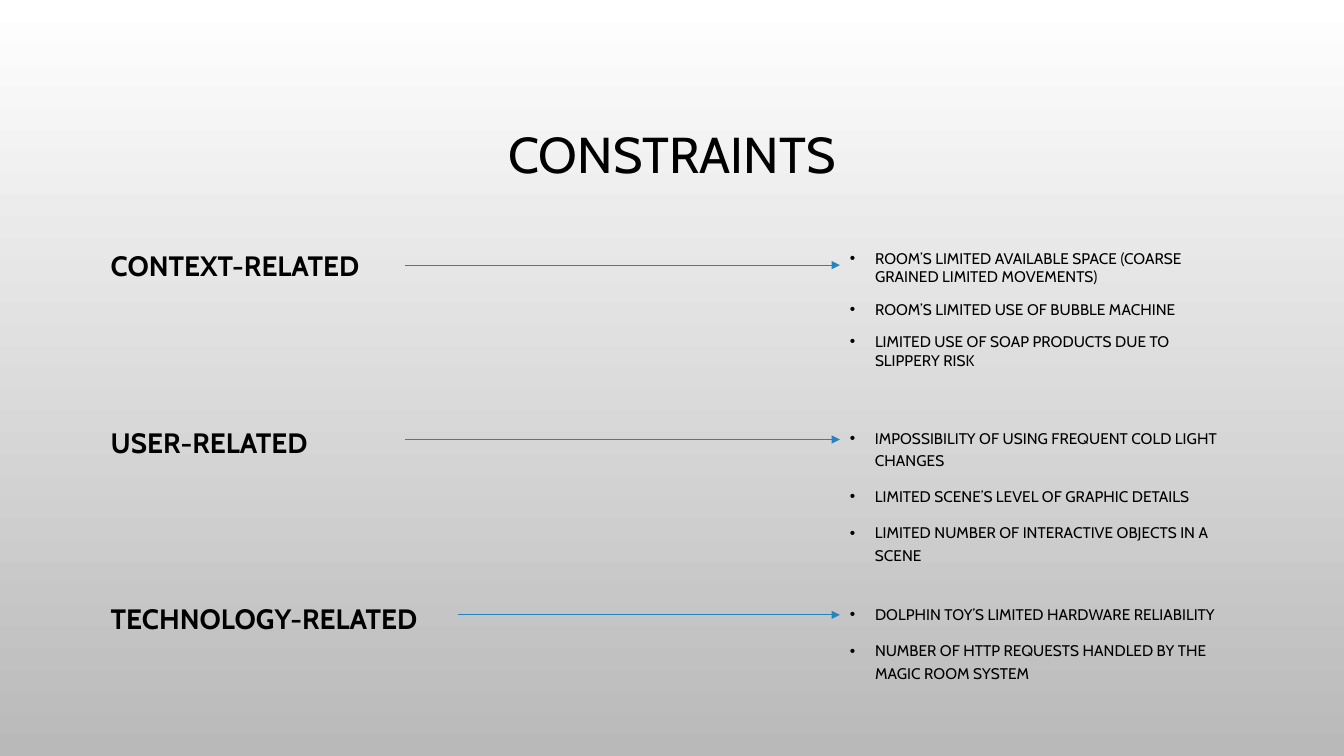
from dataclasses import dataclass
from typing import Any

from lxml import etree
from pptx import Presentation
from pptx import util as u
from pptx.dml.color import RGBColor
from pptx.enum import shapes, text
from pptx.oxml import ns


@dataclass(frozen=True)
class Theme:
    font: str = "Cabin"
    ink: RGBColor = RGBColor(0x00, 0x00, 0x00)
    arrow: RGBColor = RGBColor(0x26, 0x83, 0xBF)
    top: RGBColor = RGBColor(0xFF, 0xFF, 0xFF)
    bottom: RGBColor = RGBColor(0xB9, 0xB9, 0xB9)
    title_size: int = 36
    heading_size: int = 20
    item_size: int = 11
    item_gap: int = 10
    arrow_width: float = 0.75


@dataclass(frozen=True)
class Constraint:
    heading: str
    items: list[str]
    arrow_start: float = 4.02
    arrow_drop: float = 0.19
    list_width: float = 4.01
    line_spacing: float = 1.2


THEME = Theme()
FIRST_TOP, ROW_PITCH, ROW_HEIGHT = 2.42, 1.75, 0.99
HEADING_LEFT, HEADING_WIDTH, LIST_LEFT = 1, 3.67, 8.33

CONSTRAINTS = [
    Constraint("CONTEXT-RELATED", [
        "ROOM’S LIMITED AVAILABLE SPACE (COARSE GRAINED LIMITED MOVEMENTS)",
        "ROOM’S LIMITED USE OF BUBBLE MACHINE",
        "LIMITED USE OF SOAP PRODUCTS DUE TO SLIPPERY RISK",
    ], arrow_drop=0.21, line_spacing=1.0),
    Constraint("USER-RELATED", [
        "IMPOSSIBILITY OF USING FREQUENT COLD LIGHT CHANGES",
        "LIMITED SCENE’S LEVEL OF GRAPHIC DETAILS",
        "LIMITED NUMBER OF INTERACTIVE OBJECTS IN A SCENE",
    ], list_width=4.24),
    Constraint("TECHNOLOGY-RELATED", [
        "DOLPHIN TOY’S LIMITED HARDWARE RELIABILITY",
        "NUMBER OF HTTP REQUESTS HANDLED BY THE MAGIC ROOM SYSTEM",
    ], arrow_start=4.54, arrow_drop=0.18),
]


def apply(target: Any, values: dict[str, Any]) -> None:
    for name, value in values.items():
        setattr(target, name, value)


def add_bullet(paragraph: Any) -> None:
    properties = paragraph._p.get_or_add_pPr()
    properties.set("marL", str(u.Inches(0.25)))
    properties.set("indent", str(u.Inches(-0.25)))
    colour = etree.SubElement(properties, ns.qn("a:buClr"))
    etree.SubElement(colour, ns.qn("a:srgbClr")).set("val", str(THEME.ink))
    etree.SubElement(properties, ns.qn("a:buFont")).set("typeface", "Arial")
    etree.SubElement(properties, ns.qn("a:buChar")).set("char", "•")


def add_text(slide: Any, box: tuple[float, float, float, float], lines: list[str],
             size: int, bold: bool = False, bulleted: bool = False,
             anchor: Any = text.MSO_ANCHOR.TOP, **layout: Any) -> None:
    frame = slide.shapes.add_textbox(*map(u.Inches, box)).text_frame
    apply(frame, {"word_wrap": True, "vertical_anchor": anchor})
    for index, line in enumerate(lines):
        paragraph = frame.add_paragraph() if index else frame.paragraphs[0]
        paragraph.text = line
        if bulleted:
            add_bullet(paragraph)
        apply(paragraph, layout)
        if index:
            paragraph.space_before = u.Pt(THEME.item_gap)
        font = paragraph.runs[0].font
        apply(font, {"name": THEME.font, "size": u.Pt(size), "bold": bold})
        font.color.rgb = THEME.ink


def add_arrow(slide: Any, start: float, end: float, y: float) -> None:
    arrow = slide.shapes.add_connector(
        shapes.MSO_CONNECTOR.STRAIGHT, *map(u.Inches, (start, y, end, y)))
    arrow.line.color.rgb = THEME.arrow
    arrow.line.width = u.Pt(THEME.arrow_width)
    line = arrow.line._get_or_add_ln()
    etree.SubElement(line, ns.qn("a:tailEnd")).set("type", "triangle")
    etree.SubElement(arrow._element.spPr, ns.qn("a:effectLst"))


def add_constraint(slide: Any, row: int, constraint: Constraint) -> None:
    top = FIRST_TOP + row * ROW_PITCH
    add_text(slide, (HEADING_LEFT, top, HEADING_WIDTH, ROW_HEIGHT),
             [constraint.heading], THEME.heading_size, bold=True)
    add_text(slide, (LIST_LEFT, top, constraint.list_width, ROW_HEIGHT),
             constraint.items, THEME.item_size, bulleted=True,
             line_spacing=constraint.line_spacing)
    add_arrow(slide, constraint.arrow_start, LIST_LEFT, top + constraint.arrow_drop)


def main() -> None:
    deck = Presentation()
    apply(deck, {"slide_width": u.Inches(13.33), "slide_height": u.Inches(7.5)})
    slide = deck.slides.add_slide(deck.slide_layouts[6])

    # Background fading downwards
    fill = slide.background.fill
    fill.gradient()
    fill.gradient_angle = 270
    for stop, colour in zip(fill.gradient_stops, (THEME.top, THEME.bottom)):
        stop.color.rgb = colour

    # Title
    add_text(slide, (1, 0.68, 11.33, 1.75), ["CONSTRAINTS"], THEME.title_size,
             anchor=text.MSO_ANCHOR.MIDDLE, alignment=text.PP_ALIGN.CENTER,
             line_spacing=0.9)

    # One row for each kind of constraint
    for row, constraint in enumerate(CONSTRAINTS):
        add_constraint(slide, row, constraint)

    deck.save("out.pptx")


if __name__ == "__main__":
    main()
